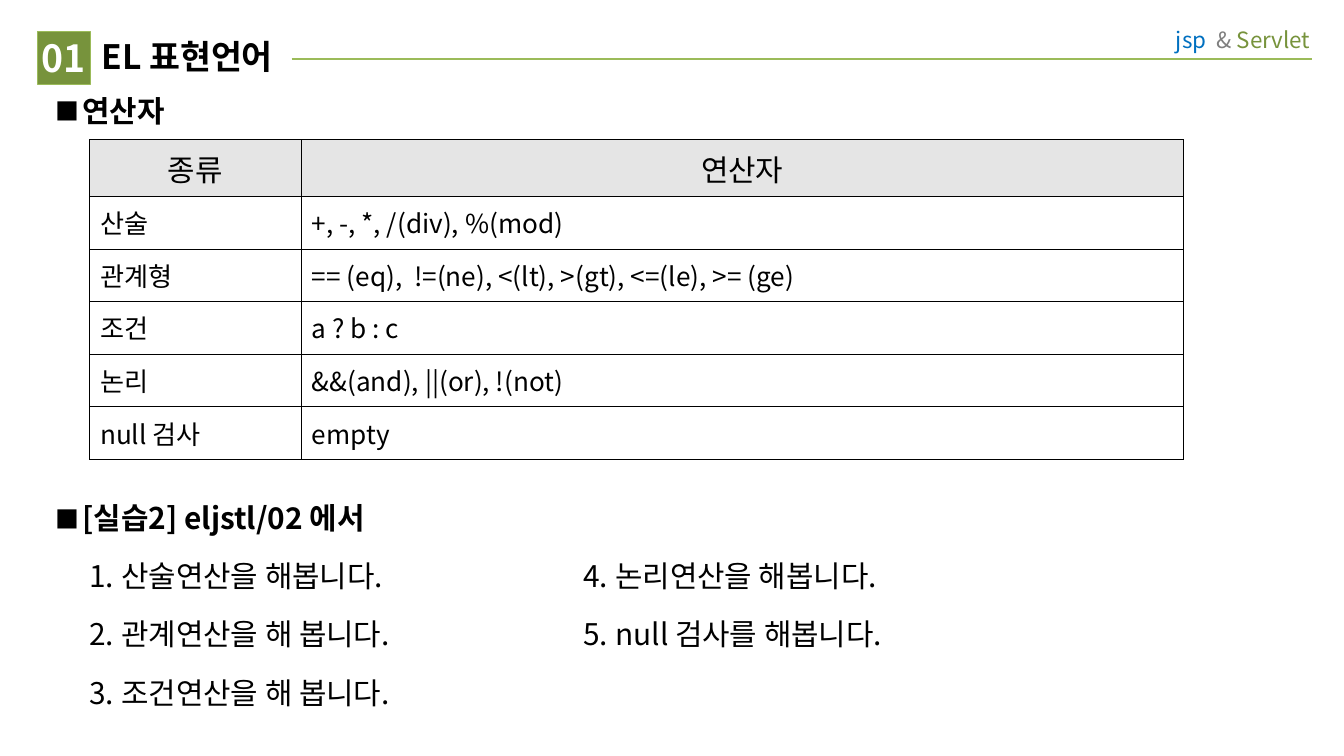
from lxml import etree
from pptx import Presentation
from pptx import util as u
from pptx.dml.color import RGBColor
from pptx.enum import shapes, text
from pptx.oxml.ns import qn

COLORS = {"ink": "000000", "paper": "FFFFFF", "olive": "77933C", "lime": "9BBB59",
          "blue": "0070C0", "gray": "7F7F7F", "header": "E5E5E5"}
FONT = "Noto Sans CJK KR"
CELL = 0.1
TEXT_INSETS = (1, 0.5, 1, 0.5)
OPERATORS = [
    ("종류", "연산자"),
    ("산술", "+, -, *, /(div), %(mod)"),
    ("관계형", "== (eq),  !=(ne), <(lt), >(gt), <=(le), >= (ge)"),
    ("조건", "a ? b : c"),
    ("논리", "&&(and), ||(or), !(not)"),
    ("null 검사", "empty"),
]


def grid(*counts):
    return [u.Inches(count * CELL) for count in counts]


def color(name):
    return RGBColor.from_string(COLORS[name])


class SlideBuilder:
    def __init__(self, deck):
        self.slide = deck.slides.add_slide(deck.slide_layouts[5])

    def style(self, para, size, ink="ink", bold=False, align=text.PP_ALIGN.LEFT):
        para.alignment = align
        font = para.font
        font.name, font.size, font.bold = FONT, u.Pt(size), bold
        if ink:
            font.color.rgb = color(ink)
        east_asian = etree.SubElement(font._element, qn("a:ea"))
        east_asian.set("typeface", FONT)

    def frame(self, box, insets, anchor=text.MSO_ANCHOR.TOP):
        frame = box.text_frame
        frame.word_wrap = True
        frame.auto_size = text.MSO_AUTO_SIZE.NONE
        frame.vertical_anchor = anchor
        (frame.margin_left, frame.margin_top,
         frame.margin_right, frame.margin_bottom) = grid(*insets)
        return frame

    def bullet(self, para, indent, hanging, *marks):
        props = para._p.get_or_add_pPr()
        props.set("marL", str(u.Inches(indent)))
        props.set("indent", str(-u.Inches(hanging)))
        defaults = props.find(qn("a:defRPr"))
        for tag, settings in marks:
            defaults.addprevious(etree.Element(qn("a:" + tag), settings))

    def title(self, words, area):
        box = self.slide.shapes.title
        box.left, box.top, box.width, box.height = grid(*area)
        para = self.frame(box, (0.8, 0.4, 0, 0.4)).paragraphs[0]
        para.text = words
        self.style(para, 18, bold=True)

    def badge(self, words, area):
        box = self.slide.shapes.add_shape(shapes.MSO_SHAPE.RECTANGLE, *grid(*area))
        box.shadow.inherit = False
        box.fill.solid()
        box.fill.fore_color.rgb = color("olive")
        box.line.color.rgb = color("lime")
        box.line.width = u.Pt(0.25)
        para = self.frame(box, (0, 0, 0, 0), text.MSO_ANCHOR.MIDDLE).paragraphs[0]
        para.text = words
        self.style(para, 20, "paper", True, text.PP_ALIGN.CENTER)

    def rule(self, start, end, row):
        line = self.slide.shapes.add_connector(
            shapes.MSO_CONNECTOR.STRAIGHT, *grid(start, row, end, row))
        line.line.color.rgb = color("lime")
        line.line.width = u.Pt(1.5)
        etree.SubElement(line._element.spPr, qn("a:effectLst"))

    def label(self, spans, area):
        box = self.slide.shapes.add_textbox(*grid(*area))
        para = self.frame(box, (1, 0.8, 1, 0.8)).paragraphs[0]
        for words, ink in spans:
            span = para.add_run()
            span.text = words
            span.font.color.rgb = color(ink)
        self.style(para, 12, ink=None, align=text.PP_ALIGN.RIGHT)

    def outline(self, area, heading=None, steps=(), start=1):
        box = self.slide.shapes.add_textbox(*grid(*area))
        frame = self.frame(box, TEXT_INSETS)
        lines = ([heading] if heading else []) + list(steps)
        for index, words in enumerate(lines):
            para = frame.paragraphs[0] if index == 0 else frame.add_paragraph()
            para.text = words
            is_heading = words == heading
            para.space_before = u.Pt(4 if is_heading else 12)
            self.style(para, 16, bold=is_heading)
            if is_heading:
                self.bullet(para, 0.2, 0.2, ("buSzPct", {"val": "80000"}),
                            ("buFont", {"typeface": FONT}), ("buChar", {"char": "■"}))
            else:
                para.level = 1
                self.bullet(para, 0.49, 0.24, ("buAutoNum", {
                    "type": "arabicPeriod", "startAt": str(start)}))

    def border(self, cell):
        props = cell._tc.get_or_add_tcPr()
        for index, side in enumerate(("lnL", "lnR", "lnT", "lnB")):
            line = etree.Element(qn("a:" + side), w=str(u.Pt(0.45)))
            fill = etree.SubElement(line, qn("a:solidFill"))
            etree.SubElement(fill, qn("a:srgbClr"), val=COLORS["ink"])
            props.insert(index, line)

    def table(self, rows, area, columns, heights):
        table = self.slide.shapes.add_table(
            len(rows), len(columns), *grid(*area)).table
        table.first_row = table.horz_banding = False
        for column, width in zip(table.columns, grid(*columns)):
            column.width = width
        for index, (row, values) in enumerate(zip(table.rows, rows)):
            is_header = index == 0
            row.height = grid(heights[0] if is_header else heights[1])[0]
            for cell, words in zip(row.cells, values):
                cell.margin_left, cell.margin_right = grid(0.8, 0.8)
                cell.margin_top, cell.margin_bottom = grid(0.5, 0.5)
                para = cell.text_frame.paragraphs[0]
                para.text = words
                if is_header:
                    cell.vertical_anchor = text.MSO_ANCHOR.MIDDLE
                    cell.fill.solid()
                    cell.fill.fore_color.rgb = color("header")
                    self.style(para, 16, align=text.PP_ALIGN.CENTER)
                else:
                    cell.fill.background()
                    self.style(para, 14)
                self.border(cell)


def main():
    deck = Presentation()
    deck.slide_width, deck.slide_height = grid(100, 56.26)
    page = SlideBuilder(deck)
    page.rule(21.7, 97.6, 4.4)
    page.label([("jsp  ", "blue"), ("& ", "gray"), ("Servlet", "olive")],
               (83.1, 1.15, 15.4, 3.6))
    page.title("EL 표현언어", (6.75, 2.3, 14.9, 3.9))
    page.badge("01", (2.8, 2.35, 3.9, 3.9))
    page.outline((3.15, 6.4, 86.2, 8.3), "연산자")
    page.table(OPERATORS, (6.65, 10.4, 81.4, 23.8), (15.75, 65.65), (4.2, 3.92))
    page.outline((3.15, 36.7, 86.2, 8.3), "[실습2] eljstl/02 에서",
                 ("산술연산을 해봅니다.", "관계연산을 해 봅니다.", "조건연산을 해 봅니다."))
    page.outline((39.9, 41, 52.2, 8.3), start=4,
                 steps=("논리연산을 해봅니다.", "null 검사를 해봅니다."))
    deck.save("out.pptx")


if __name__ == "__main__":
    main()
